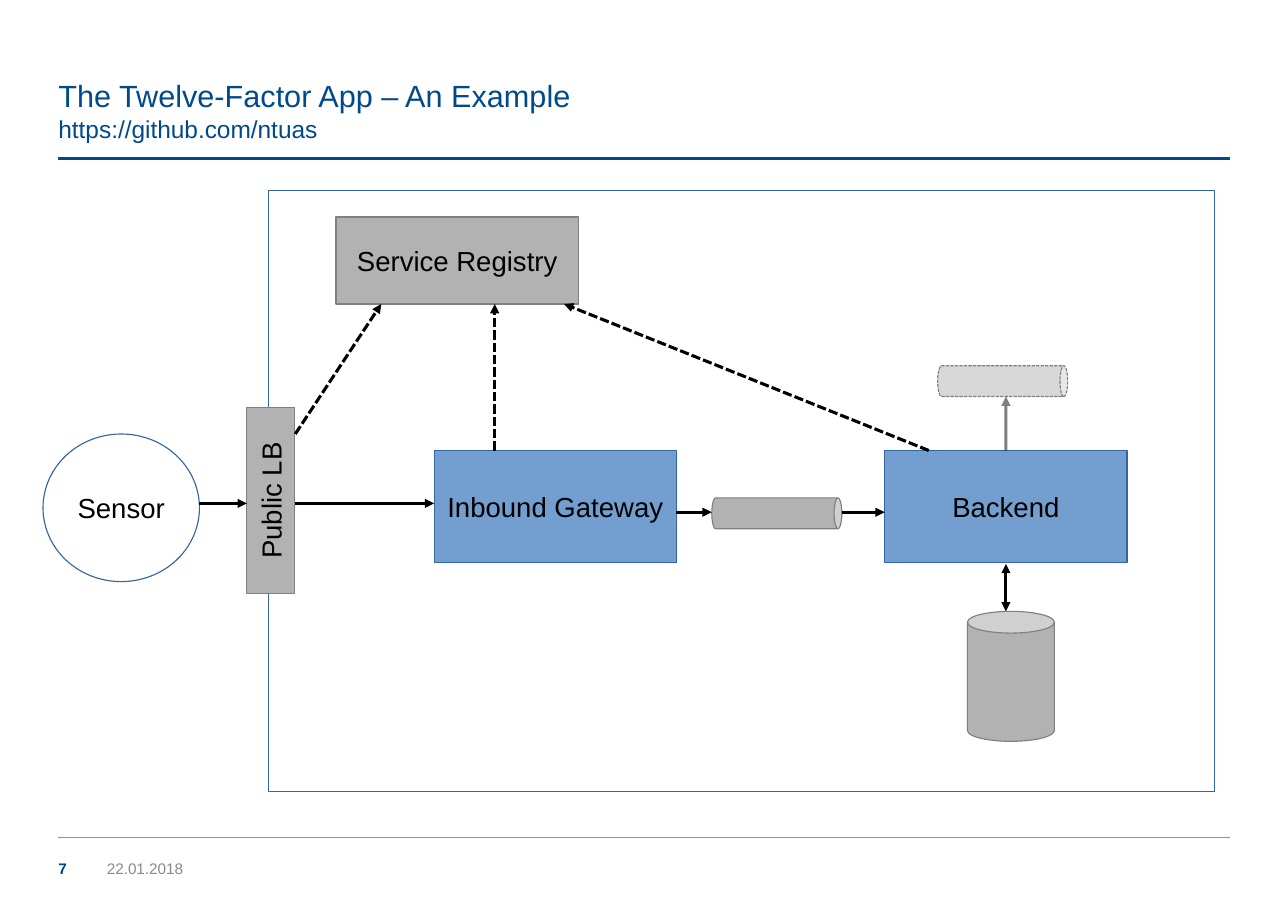
"""Build the Twelve-Factor App example architecture slide."""
from dataclasses import dataclass
from typing import Optional

import lxml.etree
import pptx
import pptx.dml.color
import pptx.enum.dml
import pptx.enum.shapes
import pptx.enum.text
import pptx.oxml.ns
import pptx.util

Inches = pptx.util.Inches
Kind = pptx.enum.shapes.MSO_SHAPE
Align = pptx.enum.text.PP_ALIGN
Anchor = pptx.enum.text.MSO_ANCHOR
qn = pptx.oxml.ns.qn


@dataclass(frozen=True)
class Theme:
    font: str = "Arial"
    brand: str = "004A8C"
    rule: str = "929395"
    muted: str = "898989"
    ink: str = "000000"
    paper: str = "FFFFFF"
    service: str = "729FCF"
    outline: str = "3465A4"
    infra: str = "B2B2B2"
    infra_outline: str = "808080"
    title_size: int = 20
    subtitle_size: int = 16
    label_size: int = 18
    footer_size: int = 10


THEME = Theme()


@dataclass(frozen=True)
class Node:
    left: float
    top: float
    width: float
    height: float
    fill: str
    outline: str
    label: str = ""
    kind: Kind = Kind.RECTANGLE
    rotation: int = 0
    ghost: bool = False


@dataclass(frozen=True)
class Link:
    x1: float
    y1: float
    x2: float
    y2: float
    color: str = THEME.ink
    width: float = 0
    head: bool = False
    tail: bool = True
    dashed: bool = False
    ghost: bool = False


@dataclass(frozen=True)
class FooterText:
    left: float
    width: float
    text: str
    color: str
    bold: bool = False


FLOW_Y, QUEUE_Y, BACKEND_X = 4.57, 4.65, 9.13
SERVICE_TOP, SERVICE_BOTTOM, REGISTRY_BOTTOM = 4.09, 5.12, 2.76
INFRA = (THEME.infra, THEME.infra_outline)
SERVICE = (THEME.service, THEME.outline)
OPEN = (THEME.paper, THEME.outline)

NODES = [
    Node(2.44, 1.73, 8.58, 5.46, *OPEN),
    Node(0.39, 3.94, 1.42, 1.34, *OPEN, "Sensor", Kind.OVAL),
    Node(3.94, SERVICE_TOP, 2.2, 1.02, *SERVICE, "Inbound Gateway"),
    Node(8.03, SERVICE_TOP, 2.2, 1.02, *SERVICE, "Backend"),
    Node(8.78, 5.55, 0.79, 1.18, *INFRA, kind=Kind.CAN),
    Node(6.91, 4.07, 0.28, 1.18, *INFRA, kind=Kind.CAN, rotation=90),
    Node(8.96, 2.87, 0.28, 1.18, *INFRA, kind=Kind.CAN, rotation=90, ghost=True),
    Node(3.05, 1.97, 2.2, 0.79, *INFRA, "Service Registry"),
    Node(1.61, 4.33, 1.69, 0.43, *INFRA, "Public LB", rotation=270),
]

RULES = [
    Link(0.53, 1.44, 11.16, 1.44, THEME.brand, 1.5, tail=False),
    Link(0.53, 7.6, 11.16, 7.6, THEME.rule, 0.75, tail=False),
]

ARROWS = [
    Link(1.81, FLOW_Y, 2.24, FLOW_Y),
    Link(2.68, FLOW_Y, 3.94, FLOW_Y),
    Link(6.14, QUEUE_Y, 6.46, QUEUE_Y),
    Link(7.64, QUEUE_Y, 8.03, QUEUE_Y),
    Link(BACKEND_X, SERVICE_BOTTOM, BACKEND_X, 5.55, head=True),
    Link(2.68, 3.94, 3.46, REGISTRY_BOTTOM, dashed=True),
    Link(4.49, SERVICE_TOP, 4.49, REGISTRY_BOTTOM, dashed=True),
    Link(8.43, SERVICE_TOP, 5.12, REGISTRY_BOTTOM, dashed=True),
    Link(BACKEND_X, SERVICE_TOP, BACKEND_X, 3.6, ghost=True),
]

FOOTERS = [
    FooterText(0.97, 0.87, "22.01.2018", THEME.muted),
    FooterText(0.53, 0.39, "7", THEME.brand, True),
]


def rgb(value: str) -> pptx.dml.color.RGBColor:
    """Turn a hex string into a colour."""
    return pptx.dml.color.RGBColor.from_string(value)


def make_half_transparent(parent: lxml.etree.ElementBase) -> None:
    """Give the solid fill of an element 50 percent opacity."""
    color = parent.find(f"{qn('a:solidFill')}/{qn('a:srgbClr')}")
    lxml.etree.SubElement(color, qn("a:alpha"), val="50000")


def add_span(para, text: str, size: int, color: str, bold: Optional[bool] = None) -> None:
    """Add one formatted run to a paragraph."""
    span = para.add_run()
    span.text = text
    span.font.name = THEME.font
    span.font.size = pptx.util.Pt(size)
    span.font.bold = bold
    span.font.color.rgb = rgb(color)


def set_frame(frame, anchor: Anchor, bottom: float = 0) -> None:
    """Set the anchor and insets of a text frame."""
    frame.auto_size = pptx.enum.text.MSO_AUTO_SIZE.NONE
    frame.word_wrap = True
    frame.vertical_anchor = anchor
    frame.margin_left = frame.margin_right = frame.margin_top = 0
    frame.margin_bottom = Inches(bottom)


def set_title(page) -> None:
    """Place and fill the title placeholder."""
    title = page.shapes.title
    title.left, title.top = Inches(0.53), Inches(0.28)
    title.width, title.height = Inches(10.63), Inches(1.33)
    set_frame(title.text_frame, Anchor.BOTTOM, 0.31)
    para = title.text_frame.paragraphs[0]
    para.alignment = Align.LEFT
    add_span(para, "The Twelve-Factor App – An Example", THEME.title_size, THEME.brand)
    para.add_line_break()
    lxml.etree.SubElement(para._p[-1], qn("a:rPr"), sz=str(THEME.title_size * 100))
    add_span(para, "https://github.com/ntuas", THEME.subtitle_size, THEME.brand)


def add_footer(page, footer: FooterText) -> None:
    """Add one footer text box."""
    box = page.shapes.add_textbox(Inches(footer.left), Inches(7.66), Inches(footer.width), Inches(0.44))
    set_frame(box.text_frame, Anchor.MIDDLE)
    add_span(box.text_frame.paragraphs[0], footer.text, THEME.footer_size, footer.color, footer.bold)


def add_node(page, node: Node) -> None:
    """Add one component of the architecture."""
    bounds = (Inches(side) for side in (node.left, node.top, node.width, node.height))
    shape = page.shapes.add_shape(node.kind, *bounds)
    shape.shadow.inherit = False
    shape.rotation = node.rotation
    shape.fill.solid()
    shape.fill.fore_color.rgb = rgb(node.fill)
    shape.line.color.rgb = rgb(node.outline)
    shape.line.width = pptx.util.Pt(0)
    if node.ghost:
        make_half_transparent(shape._element.spPr)
        shape.line.dash_style = pptx.enum.dml.MSO_LINE.SQUARE_DOT
    if node.label:
        shape.text_frame.word_wrap = False
        shape.text_frame.vertical_anchor = Anchor.MIDDLE
        para = shape.text_frame.paragraphs[0]
        para.alignment = Align.CENTER
        add_span(para, node.label, THEME.label_size, THEME.ink)


def add_link(page, link: Link) -> None:
    """Add one straight line with its arrowheads."""
    ends = (Inches(value) for value in (link.x1, link.y1, link.x2, link.y2))
    line = page.shapes.add_connector(pptx.enum.shapes.MSO_CONNECTOR.STRAIGHT, *ends)
    line.line.color.rgb = rgb(link.color)
    line.line.width = pptx.util.Pt(link.width)
    if link.dashed:
        line.line.dash_style = pptx.enum.dml.MSO_LINE.SQUARE_DOT
    properties = line._element.spPr
    outline = properties.find(qn("a:ln"))
    if link.ghost:
        make_half_transparent(outline)
    for tag, wanted in (("a:headEnd", link.head), ("a:tailEnd", link.tail)):
        if wanted:
            lxml.etree.SubElement(outline, qn(tag), type="triangle")
    lxml.etree.SubElement(properties, qn("a:effectLst"))


def main() -> None:
    """Build and save the deck."""
    deck = pptx.Presentation()
    deck.slide_width, deck.slide_height = Inches(11.69), Inches(8.27)
    page = deck.slides.add_slide(deck.slide_layouts.get_by_name("Title Only"))
    set_title(page)
    for footer in FOOTERS:
        add_footer(page, footer)
    for node in NODES:
        add_node(page, node)
    for link in RULES + ARROWS:
        add_link(page, link)
    deck.save("out.pptx")


if __name__ == "__main__":
    main()
